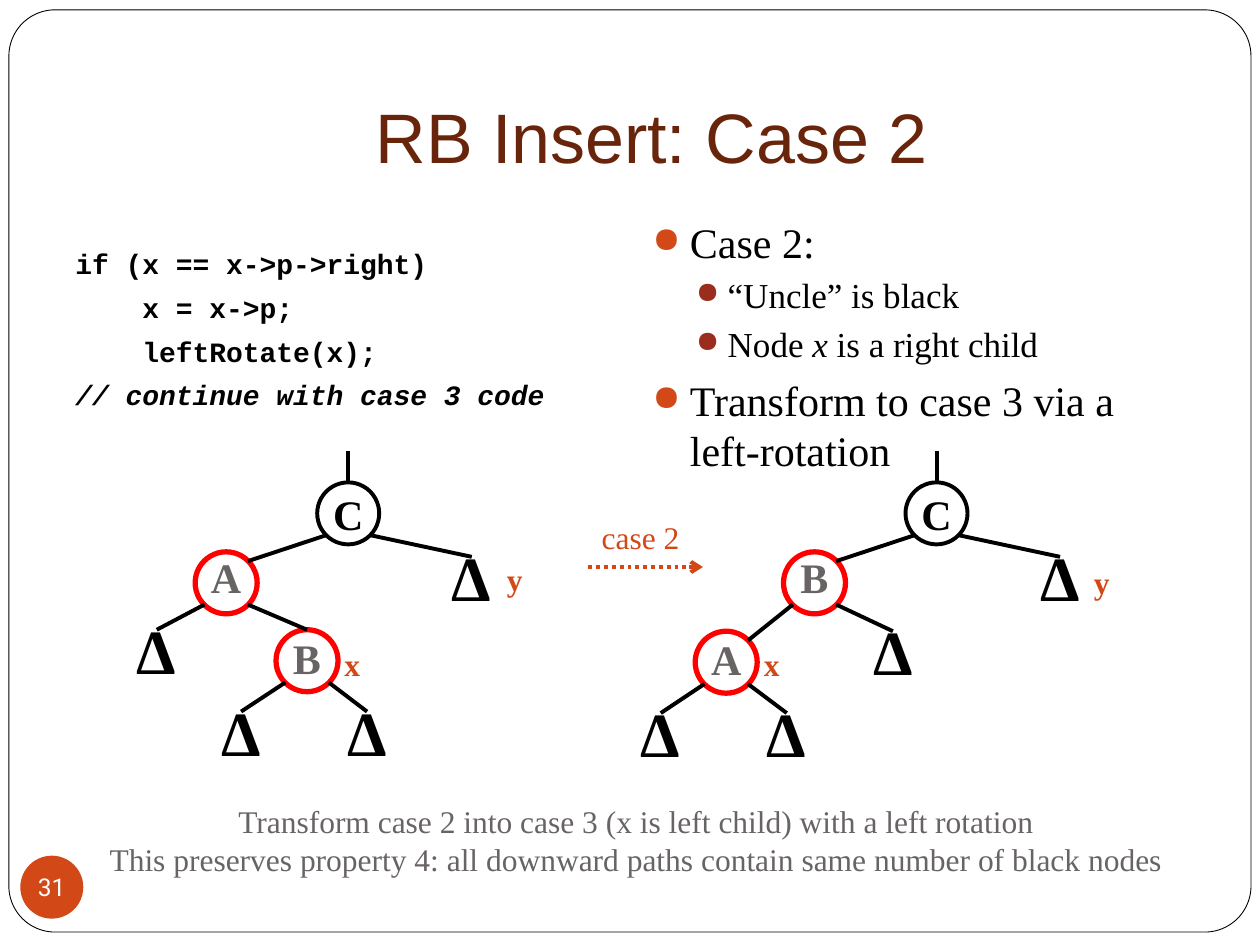
import pptx
import pptx.util
import pptx.dml.color
import pptx.enum.dml
import pptx.enum.shapes
import pptx.enum.text
import pptx.oxml
import pptx.oxml.ns

Cm = pptx.util.Cm
Pt = pptx.util.Pt
ALIGN = pptx.enum.text.PP_ALIGN
ANCHOR = pptx.enum.text.MSO_ANCHOR
SHAPE = pptx.enum.shapes.MSO_SHAPE

COLORS = {
    "white": "FFFFFF", "black": "000000", "red": "FF0000", "gray": "696464",
    "orange": "D34817", "rust": "9B2D1F", "brown": "69240C",
}
SERIF = "Times New Roman"
SIZE = 1.25               # node diameter, cm
DIAG = SIZE / 2 * 0.7     # offset of a circle's 45 degree point

# Trees: name -> (label, kind, centre x, centre y, line spacing)
LEFT = {
    "top": ("C", "black", 7.02, 10.35, 1),
    "mid": ("A", "red", 4.56, 11.75, 0.7),
    "uncle": ("Δ", None, 9.51, 11.85, 0.6),
    "outer": ("Δ", None, 3.16, 13.32, 0.6),
    "low": ("B", "red", 6.19, 13.32, 0.9),
    "one": ("Δ", None, 4.86, 14.97, 0.6),
    "two": ("Δ", None, 7.4, 14.97, 0.6),
}
RIGHT = {
    "top": ("C", "black", 18.88, 10.35, 1),
    "mid": ("B", "red", 16.42, 11.75, 0.7),
    "uncle": ("Δ", None, 21.37, 11.85, 0.6),
    "low": ("A", "red", 14.64, 13.35, 0.9),
    "outer": ("Δ", None, 18, 13.35, 0.6),
    "one": ("Δ", None, 13.32, 15, 0.6),
    "two": ("Δ", None, 15.86, 15, 0.6),
}
EDGES = [("top", "mid"), ("top", "uncle"), ("mid", "outer"),
         ("mid", "low"), ("low", "one"), ("low", "two")]


def paint(name):
    return pptx.dml.color.RGBColor.from_string(COLORS[name])


def add_run(para, text, size, color="black", font=SERIF, bold=False, italic=False):
    run = para.add_run()
    run.text = text
    run.font.size = Pt(size)
    run.font.name = font
    run.font.bold = bold
    run.font.italic = italic
    run.font.color.rgb = paint(color)


def add_text(slide, box, lines, size, color="black", **style):
    """Centred lines that do not wrap."""
    frame = slide.shapes.add_textbox(*map(Cm, box)).text_frame
    frame.word_wrap = False
    frame.vertical_anchor = ANCHOR.MIDDLE
    for i, line in enumerate(lines):
        para = frame.add_paragraph() if i else frame.paragraphs[0]
        para.alignment = ALIGN.CENTER
        add_run(para, line, size, color, **style)


def add_item(frame, first, runs, size, level=0, bullet=None, **style):
    """A paragraph with a hanging indent; runs are (text, italic)."""
    para = frame.paragraphs[0] if first else frame.add_paragraph()
    para.level = level
    props = para._p.get_or_add_pPr()
    props.set("marL", str(Cm((0.76, 1.52)[level])))
    props.set("indent", str(-Cm((0.76, 0.64)[level])))
    if bullet:
        space = pptx.oxml.ns.nsdecls("a")
        for part in (f'<a:buClr {space}><a:srgbClr val="{COLORS[bullet]}"/></a:buClr>',
                     f'<a:buSzPct {space} val="85000"/>',
                     f'<a:buChar {space} char="●"/>'):
            props.append(pptx.oxml.parse_xml(part))
    if not first:
        para.space_before = Pt((5.8, 3.8)[level])
    for text, italic in runs:
        add_run(para, text, size, italic=italic, **style)


def add_shape(slide, kind, box, fill=None, line=None, width=1):
    shape = slide.shapes.add_shape(kind, *map(Cm, box))
    shape.shadow.inherit = False
    if fill:
        shape.fill.solid()
        shape.fill.fore_color.rgb = paint(fill)
    else:
        shape.fill.background()
    if line:
        shape.line.color.rgb = paint(line)
        shape.line.width = Pt(width)
    else:
        shape.line.fill.background()
    return shape


def add_label(shape, text, size, color, spacing=1, **style):
    frame = shape.text_frame
    frame.word_wrap = False
    frame.vertical_anchor = ANCHOR.MIDDLE
    para = frame.paragraphs[0]
    para.alignment = ALIGN.CENTER
    if spacing != 1:
        para.line_spacing = spacing
    add_run(para, text, size, color, **style)


def add_line(slide, start, end, color="black"):
    line = slide.shapes.add_connector(
        pptx.enum.shapes.MSO_CONNECTOR.STRAIGHT, *map(Cm, start + end))
    line.line.color.rgb = paint(color)
    line.line.width = Pt(2.25)
    line._element.spPr.append(pptx.oxml.parse_xml(
        f'<a:effectLst {pptx.oxml.ns.nsdecls("a")}/>'))
    return line


def add_tree(slide, tree):
    for label, ring, x, y, spacing in tree.values():
        box = (x - SIZE / 2, y - SIZE / 2, SIZE, SIZE)
        node = add_shape(slide, SHAPE.OVAL, box, "white" if ring else None,
                         ring, 3 if ring == "red" else 2.25)
        color = "gray" if ring == "red" else "black"
        add_label(node, label, 24 if ring else 36, color, spacing, bold=True)
    # Edges leave a parent diagonally; a left circle is met at its upper right
    for parent, child in EDGES:
        px, py = tree[parent][2:4]
        ring, x, y = tree[child][1:4]
        side = -1 if x < px else 1
        if ring and side < 0:
            end = (x + DIAG, y - DIAG)
        else:
            end = (x, y - SIZE / 2)
        add_line(slide, (px + side * DIAG, py + DIAG), end)
    x, y = tree["top"][2:4]
    add_line(slide, (x, y - SIZE / 2), (x, y - SIZE / 2 - 0.64))


def add_title(slide):
    title = slide.shapes.title
    title.left, title.top, title.width, title.height = map(Cm, (2.34, 0.64, 21.59, 3.18))
    frame = title.text_frame
    frame.word_wrap = True
    frame.vertical_anchor = ANCHOR.BOTTOM
    frame.margin_bottom = Cm(0.25)
    frame.paragraphs[0].alignment = ALIGN.CENTER
    add_run(frame.paragraphs[0], "RB Insert: Case 2", 40, "brown", "Arial")


def add_lists(slide):
    # Code
    frame = slide.shapes.add_textbox(*map(Cm, (1.27, 4.85, 11.23, 4.45))).text_frame
    frame.word_wrap = True
    code = ["if (x == x->p->right)", "    x = x->p;", "    leftRotate(x);",
            "// continue with case 3 code"]
    for i, text in enumerate(code):
        add_item(frame, i == 0, [(text, text.startswith("//"))], 16,
                 font="Courier New", bold=True)
    # Bullets
    frame = slide.shapes.add_textbox(*map(Cm, (12.9, 4.24, 11.23, 4.88))).text_frame
    frame.word_wrap = True
    items = [(0, [("Case 2:", False)]),
             (1, [("“Uncle” is black", False)]),
             (1, [("Node ", False), ("x", True), (" is a right child", False)]),
             (0, [("Transform to case 3 via a left-rotation", False)])]
    for i, (level, runs) in enumerate(items):
        add_item(frame, i == 0, runs, (24, 20)[level], level, ("orange", "rust")[level])


def main():
    deck = pptx.Presentation()
    deck.slide_width, deck.slide_height = Cm(25.4), Cm(19.05)
    slide = deck.slides.add_slide(deck.slide_layouts[5])

    # Page frame, behind the title
    border = add_shape(slide, SHAPE.ROUNDED_RECTANGLE, (0.18, 0.2, 25.04, 18.59),
                       "white", "black", 0.5)
    border.adjustments[0] = 0.05
    slide.shapes._spTree.insert(2, border._element)

    add_title(slide)
    add_lists(slide)

    # Trees with their pointer names
    for tree in (LEFT, RIGHT):
        add_tree(slide, tree)
    for text, x, y in (("x", 6.68, 12.83), ("y", 9.96, 11.13),
                       ("x", 15.14, 12.83), ("y", 21.79, 11.18)):
        add_text(slide, (x, y, 0.84, 1.09), [text], 18, "orange", bold=True)

    # Dotted arrow between the trees
    arrow = add_line(slide, (11.86, 11.43), (14.17, 11.43), "orange")
    arrow.line.dash_style = pptx.enum.dml.MSO_LINE.ROUND_DOT
    arrow.line._get_or_add_ln().append(pptx.oxml.parse_xml(
        f'<a:tailEnd {pptx.oxml.ns.nsdecls("a")} type="arrow"/>'))
    add_text(slide, (11.86, 10.31, 2.11, 1.02), ["case 2"], 18, "orange")

    # Summary and page number
    add_text(slide, (0.71, 15.95, 24.23, 1.96), [
        "Transform case 2 into case 3 (x is left child) with a left rotation",
        "This preserves property 4: all downward paths contain same number of black nodes",
    ], 18, "gray")
    badge = add_shape(slide, SHAPE.OVAL, (0.41, 17.25, 1.27, 1.27), "orange")
    frame = badge.text_frame
    frame.margin_left = frame.margin_right = frame.margin_top = frame.margin_bottom = 0
    add_label(badge, "31", 14, "white", font="Roboto")

    deck.save("out.pptx")


if __name__ == "__main__":
    main()
